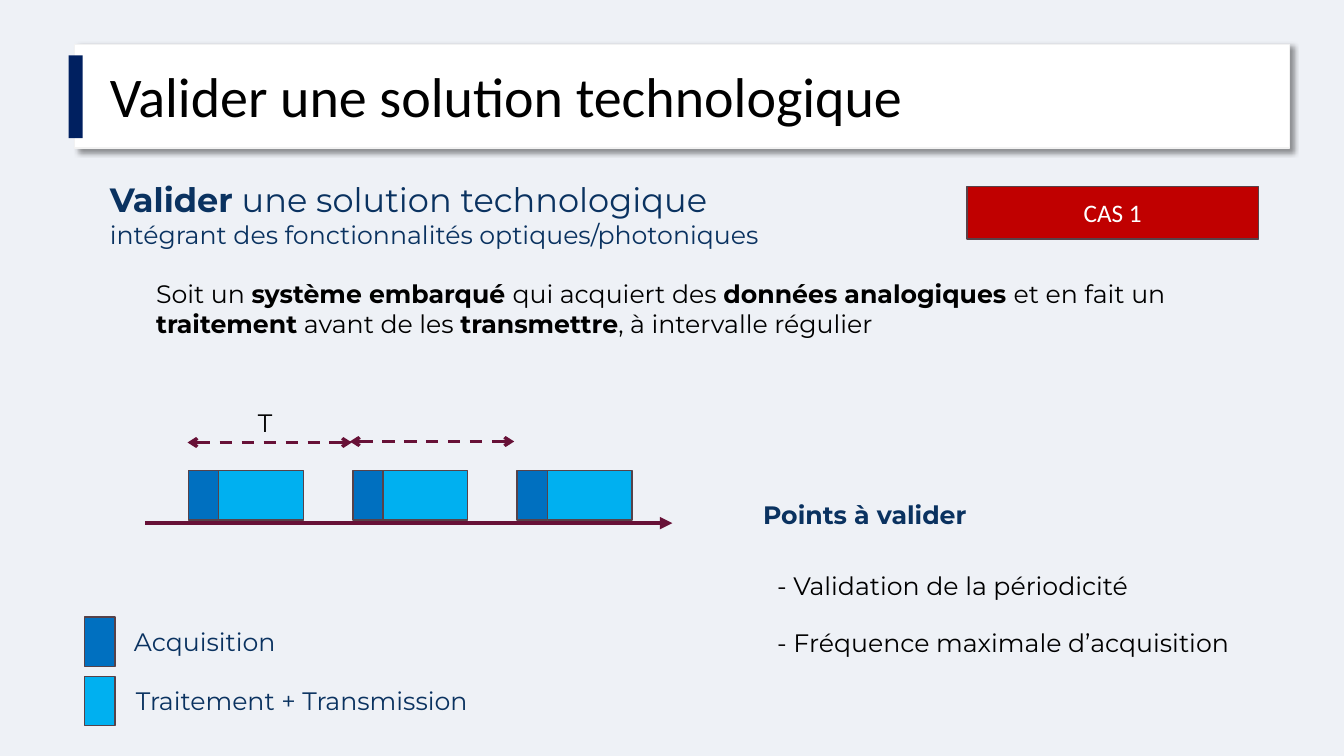
import pptx
import pptx.util
import pptx.dml.color
import pptx.enum.dml
import pptx.enum.shapes
import pptx.enum.text
import pptx.oxml
import pptx.oxml.ns
from dataclasses import dataclass
from lxml import etree
from pptx.util import Inches


@dataclass(frozen=True)
class Theme:
    background: str = "EEF1F6"
    white: str = "FFFFFF"
    black: str = "000000"
    panel_edge: str = "F2F2F2"
    accent: str = "002060"
    navy: str = "0A3260"
    acquisition: str = "0070C0"
    processing: str = "00B0F0"
    outline: str = "574249"
    timeline: str = "671137"
    case: str = "C00000"
    heading_font: str = "Calibri"
    body_font: str = "Montserrat"
    title_size: int = 40
    subtitle_size: int = 24
    body_size: int = 18


THEME = Theme()
BLOCK_HEIGHT = 0.49
ACQUISITION_WIDTH = 0.3
PROCESSING_WIDTH = 0.84
PERIOD = 1.63


def rgb(value):
    return pptx.dml.color.RGBColor.from_string(value)


def apply_format(target, values):
    for name, value in values.items():
        setattr(target, name, value)


def add_span(para, text, bold=False, size=THEME.body_size,
             color=THEME.black, font=THEME.body_font):
    span = para.add_run()
    span.text = text
    apply_format(span.font, {"name": font, "size": pptx.util.Pt(size), "bold": bold})
    span.font.color.rgb = rgb(color)


def add_text(page, place, paragraphs, line_spacing=None):
    """Add a text box; each paragraph is a list of keyword sets for add_span."""
    box = page.shapes.add_textbox(*map(Inches, place))
    box.text_frame.word_wrap = True
    for index, spans in enumerate(paragraphs):
        para = box.text_frame.paragraphs[0] if index == 0 else box.text_frame.add_paragraph()
        para.line_spacing = line_spacing
        for span in spans:
            add_span(para, **span)


def add_rectangle(page, place, fill, line=THEME.outline):
    box = page.shapes.add_shape(
        pptx.enum.shapes.MSO_SHAPE.RECTANGLE, *map(Inches, place))
    box.shadow.inherit = False
    box.fill.solid()
    box.fill.fore_color.rgb = rgb(fill)
    if line:
        box.line.color.rgb = rgb(line)
        box.line.width = pptx.util.Pt(1)
    else:
        box.line.fill.background()
    return box


def add_drop_shadow(box):
    effects = box._element.spPr.find(pptx.oxml.ns.qn("a:effectLst"))
    effects.append(pptx.oxml.parse_xml(
        f'<a:outerShdw {pptx.oxml.ns.nsdecls("a")} blurRad="{pptx.util.Pt(4)}" '
        f'dist="{pptx.util.Pt(3)}" dir="2700000" algn="tl" rotWithShape="0">'
        f'<a:srgbClr val="{THEME.black}"><a:alpha val="40000"/></a:srgbClr>'
        '</a:outerShdw>'))


def add_arrow(page, left, right, top, width, ends, dash=None):
    """Add a horizontal arrow; ends maps headEnd and tailEnd to arrowhead types."""
    arrow = page.shapes.add_connector(
        pptx.enum.shapes.MSO_CONNECTOR.STRAIGHT,
        *map(Inches, (left, top, right, top)))
    arrow.line.color.rgb = rgb(THEME.timeline)
    apply_format(arrow.line, {"width": pptx.util.Pt(width), "dash_style": dash})
    outline = arrow.line._get_or_add_ln()
    for end, kind in ends.items():
        etree.SubElement(outline, pptx.oxml.ns.qn(f"a:{end}"), type=kind)
    etree.SubElement(arrow._element.spPr, pptx.oxml.ns.qn("a:effectLst"))


def add_title(page):
    panel = add_rectangle(page, (0.74, 0.44, 12.05, 1.03), THEME.white, THEME.panel_edge)
    add_drop_shadow(panel)
    add_text(page, (0.99, 0.64, 9.81, 0.77), [[
        {"text": "Valider une solution technologique",
         "size": THEME.title_size, "font": THEME.heading_font}]], 0.9)
    add_rectangle(page, (0.68, 0.55, 0.14, 0.82), THEME.accent, None)


def add_introduction(page):
    add_text(page, (0.99, 1.73, 7.78, 0.81), [
        [{"text": "Valider", "bold": True,
          "size": THEME.subtitle_size, "color": THEME.navy},
         {"text": " une solution technologique",
          "size": THEME.subtitle_size, "color": THEME.navy}],
        [{"text": "intégrant des fonctionnalités optiques/photoniques",
          "color": THEME.navy}]])
    add_text(page, (1.45, 2.71, 10.63, 0.71), [[
        {"text": "Soit un "},
        {"text": "système embarqué ", "bold": True},
        {"text": "qui acquiert des "},
        {"text": "données analogiques ", "bold": True},
        {"text": "et en fait un "},
        {"text": "traitement", "bold": True},
        {"text": " avant de les "},
        {"text": "transmettre", "bold": True},
        {"text": ", à intervalle régulier"}]])


def add_case_badge(page):
    badge = add_rectangle(page, (9.59, 1.85, 2.89, 0.52), THEME.case)
    badge.text_frame.vertical_anchor = pptx.enum.text.MSO_ANCHOR.MIDDLE
    para = badge.text_frame.paragraphs[0]
    para.alignment = pptx.enum.text.PP_ALIGN.CENTER
    add_span(para, "CAS 1", color=THEME.white, font=THEME.heading_font)


def add_timing_diagram(page):
    add_arrow(page, 1.44, 6.67, 5.19, 3, {"tailEnd": "triangle"})
    for cycle in range(3):
        left = 1.87 + cycle * PERIOD
        add_rectangle(page, (left, 4.67, ACQUISITION_WIDTH, BLOCK_HEIGHT), THEME.acquisition)
        add_rectangle(page, (left + ACQUISITION_WIDTH, 4.67, PROCESSING_WIDTH, BLOCK_HEIGHT),
                      THEME.processing)
    for left, top in ((1.86, 4.39), (3.47, 4.38)):
        add_arrow(page, left, left + PERIOD, top, 2.25,
                  {"headEnd": "arrow", "tailEnd": "arrow"},
                  pptx.enum.dml.MSO_LINE.DASH)
    add_text(page, (2.46, 3.99, 0.54, 0.4), [[{"text": "T"}]])


def add_legend(page):
    entries = (("Acquisition", THEME.acquisition, 1.23),
               ("Traitement + Transmission", THEME.processing, 1.25))
    for row, (label, fill, left) in enumerate(entries):
        top = 6.12 + row * 0.59
        add_rectangle(page, (0.84, top, ACQUISITION_WIDTH, BLOCK_HEIGHT), fill)
        add_text(page, (left, top + 0.04, 3.86, 0.4),
                 [[{"text": label, "color": THEME.navy}]])


def add_checkpoints(page):
    add_text(page, (7.47, 4.9, 5.32, 0.4),
             [[{"text": "Points à valider", "bold": True, "color": THEME.navy}]])
    points = ("- Validation de la périodicité", "- Fréquence maximale d’acquisition")
    for row, point in enumerate(points):
        add_text(page, (7.61, 5.61 + row * 0.56, 5.17, 0.4), [[{"text": point}]])


def main():
    deck = pptx.Presentation()
    apply_format(deck, {"slide_width": Inches(13.33), "slide_height": Inches(7.5)})
    page = deck.slides.add_slide(deck.slide_layouts[6])
    page.background.fill.solid()
    page.background.fill.fore_color.rgb = rgb(THEME.background)
    add_title(page)
    add_introduction(page)
    add_case_badge(page)
    add_timing_diagram(page)
    add_legend(page)
    add_checkpoints(page)
    deck.save("out.pptx")


if __name__ == "__main__":
    main()
